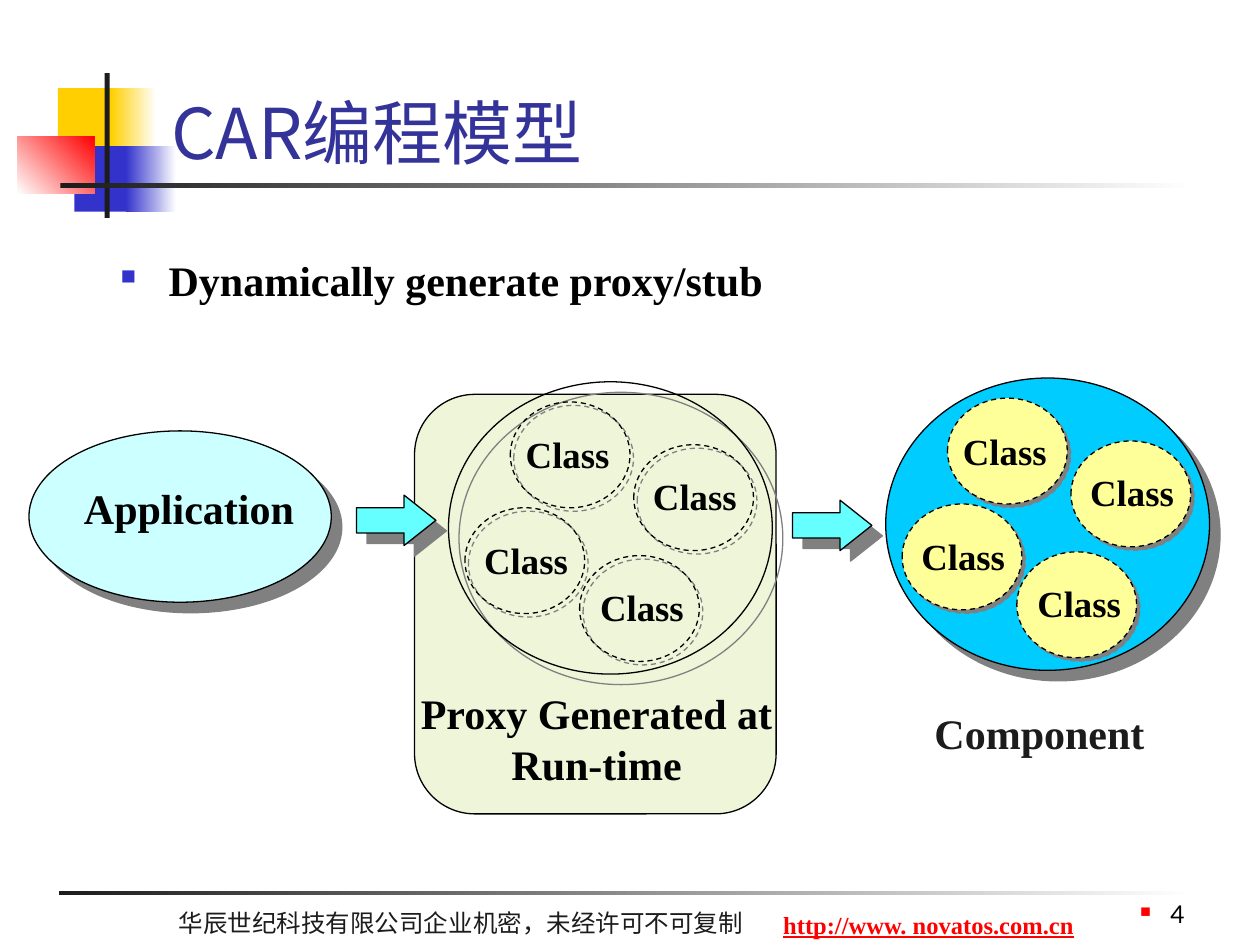
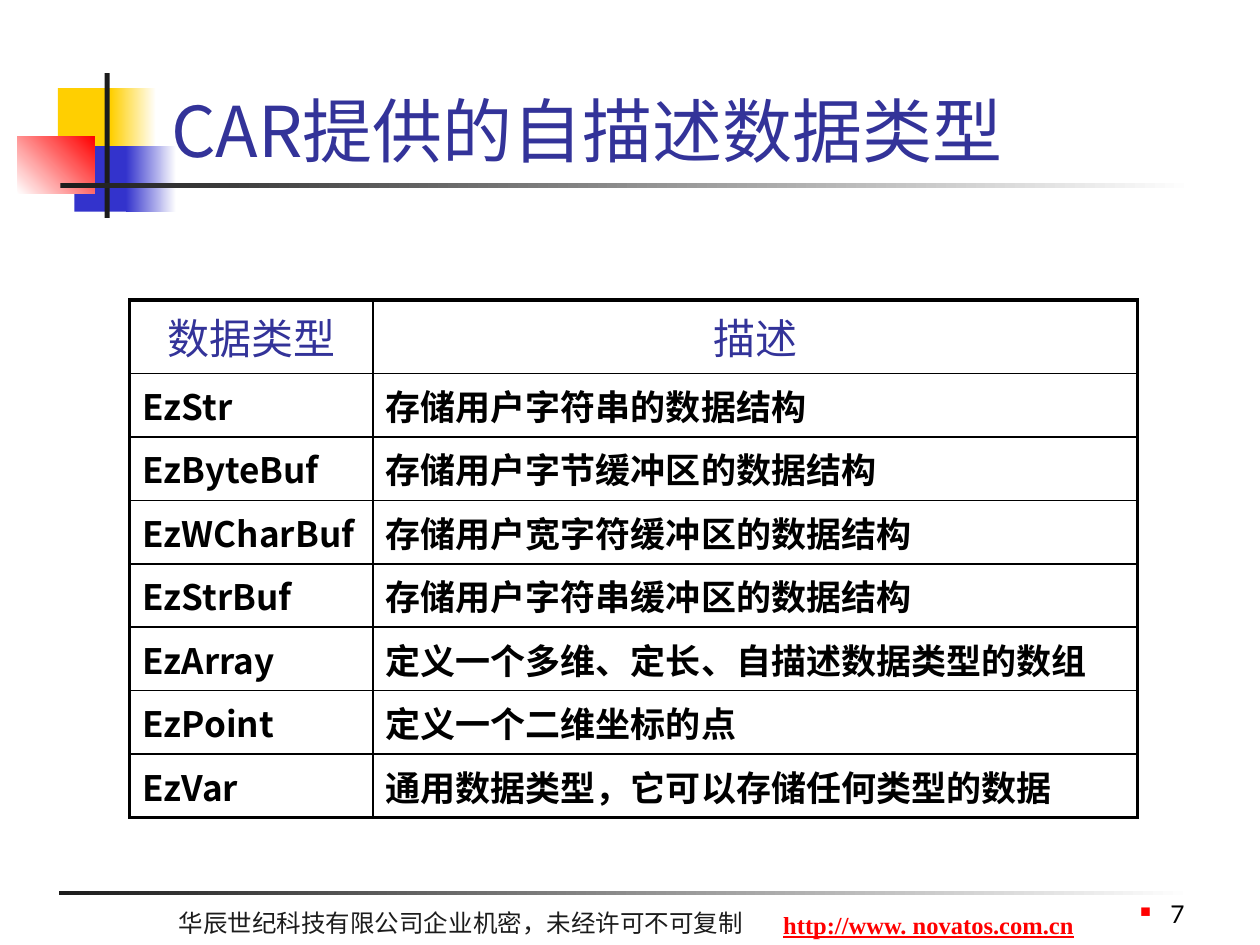
from pptx import Presentation
from pptx.dml.color import RGBColor
from pptx.enum.dml import MSO_LINE_DASH_STYLE as Dash
from pptx.enum.shapes import MSO_SHAPE as Shape
from pptx.enum.text import MSO_ANCHOR as Anchor, PP_ALIGN as Align
from pptx.oxml import parse_xml
from pptx.oxml.ns import nsdecls, qn
from pptx.util import Inches, Pt

SERIF = "Times New Roman"
CJK = "Noto Sans CJK SC"
LATO = "Lato"

BLACK = RGBColor(0x00, 0x00, 0x00)
WHITE = RGBColor(0xFF, 0xFF, 0xFF)
CHARCOAL = RGBColor(0x1C, 0x1C, 0x1C)
GRAY = RGBColor(0x80, 0x80, 0x80)
RED = RGBColor(0xFF, 0x00, 0x00)
GOLD = RGBColor(0xFF, 0xCF, 0x01)
BLUE = RGBColor(0x33, 0x33, 0xCC)
NAVY = RGBColor(0x33, 0x33, 0x99)
SAGE = RGBColor(0xDE, 0xED, 0xB5)
AQUA = RGBColor(0x66, 0xFF, 0xFF)
PALE_CYAN = RGBColor(0xCC, 0xFF, 0xFF)
SKY = RGBColor(0x00, 0xCC, 0xFF)
YELLOW = RGBColor(0xFF, 0xFF, 0x99)

THICK, THIN = 2.25, 1
DEEP_SHADOW, SMALL_SHADOW = 8.5, 2.8
CLASS_OFFSETS = [(1.04, 1.38), (1.47, 0.5), (0.49, 0.16), (0.13, 1.0)]
CLASS_LABEL_OFFSETS = [(1.0, 1.56), (1.42, 0.68), (0.41, 0.35), (0.08, 1.19)]

DATA_TYPES = [
    ("数据类型", "描述"),
    ("EzStr", "存储用户字符串的数据结构"),
    ("EzByteBuf", "存储用户字节缓冲区的数据结构"),
    ("EzWCharBuf", "存储用户宽字符缓冲区的数据结构"),
    ("EzStrBuf", "存储用户字符串缓冲区的数据结构"),
    ("EzArray", "定义一个多维、定长、自描述数据类型的数组"),
    ("EzPoint", "定义一个二维坐标的点"),
    ("EzVar", "通用数据类型，它可以存储任何类型的数据"),
]


def write_text(frame, text, size=24, font=SERIF, color=BLACK, bold=False,
               underline=False, align=Align.LEFT):
    paragraph = frame.paragraphs[0]
    paragraph.alignment = align
    run = paragraph.add_run()
    run.text = text
    run.font.size = Pt(size)
    run.font.name = font
    run.font.bold = bold
    run.font.underline = underline
    run.font.color.rgb = color
    run._r.get_or_add_rPr().append(
        parse_xml(f'<a:ea {nsdecls("a")} typeface="{CJK}"/>'))
    return paragraph


def add_bullet(paragraph, color, indent, percent):
    properties = paragraph._p.get_or_add_pPr()
    properties.set("marL", str(Inches(indent)))
    properties.set("indent", str(-Inches(indent)))
    for xml in (f'<a:buClr {nsdecls("a")}><a:srgbClr val="{color}"/></a:buClr>',
                f'<a:buSzPct {nsdecls("a")} val="{percent * 1000}"/>',
                f'<a:buChar {nsdecls("a")} char="■"/>'):
        properties.append(parse_xml(xml))


def add_shadow(shape, distance):
    """Cast a hard gray shadow down and to the right."""
    shape._element.spPr.append(parse_xml(
        f'<a:effectLst {nsdecls("a")}><a:outerShdw blurRad="0" dist="{Pt(distance)}" '
        f'dir="2700000" algn="ctr" rotWithShape="0"><a:srgbClr val="{GRAY}"/>'
        '</a:outerShdw></a:effectLst>'))


def set_borders(cell, **widths):
    """Draw black borders; the sides L, R, T, B take widths in points."""
    properties = cell._tc.get_or_add_tcPr()
    for index, side in enumerate("LRTB"):
        properties.insert(index, parse_xml(
            f'<a:ln{side} {nsdecls("a")} w="{Pt(widths[side])}"><a:solidFill>'
            f'<a:srgbClr val="{BLACK}"/></a:solidFill></a:ln{side}>'))


class Deck:
    def __init__(self):
        self.presentation = Presentation()
        self.presentation.slide_width = Inches(10)
        self.presentation.slide_height = Inches(7.5)
        self.slide = None

    def start_slide(self, title, title_top, title_height, number):
        self.slide = self.presentation.slides.add_slide(
            self.presentation.slide_layouts[5])
        self.draw_ornament()
        self.draw_footer(number)
        placeholder = self.slide.shapes.title
        placeholder.left, placeholder.top = Inches(1.26), Inches(title_top)
        placeholder.width, placeholder.height = Inches(8.52), Inches(title_height)
        placeholder.text_frame.vertical_anchor = Anchor.BOTTOM
        write_text(placeholder.text_frame, title, size=40, font=CJK, color=NAVY)
        tree = self.slide.shapes._spTree
        tree.remove(placeholder._element)
        tree.append(placeholder._element)

    def draw_ornament(self):
        self.add_shape(Shape.RECTANGLE, 0.46, 0.7, 0.48, 0.52, GOLD)
        self.add_fade(0.88, 0.7, 0.36, 0.52, GOLD, WHITE)
        self.add_shape(Shape.RECTANGLE, 0.59, 1.16, 0.46, 0.52, BLUE)
        self.add_fade(1, 1.16, 0.4, 0.52, BLUE, WHITE)
        self.add_fade(0.14, 1.08, 0.61, 0.46, WHITE, RED, angle=45)
        self.add_shape(Shape.RECTANGLE, 0.83, 0.58, 0.04, 1.15, CHARCOAL)
        self.add_fade(0.48, 1.45, 9, 0.04, CHARCOAL, WHITE)

    def draw_footer(self, number):
        self.add_text("华辰世纪科技有限公司企业机密，未经许可不可复制", 1.16, 7.16, 5, 0.33,
                      size=14, color=CHARCOAL, align=Align.CENTER)
        self.add_text("http://www. novatos.com.cn", 5.97, 7.17, 2.8, 0.3,
                      size=14, color=RED, bold=True, underline=True,
                      align=Align.CENTER)
        self.add_fade(0.47, 7.07, 9, 0.03, CHARCOAL, WHITE)
        page = self.add_text(str(number), 7.42, 6.92, 2.08, 0.5, Anchor.BOTTOM,
                             size=14, font=LATO, align=Align.RIGHT)
        add_bullet(page, RED, 0.24, percent=60)

    def add_shape(self, kind, left, top, width, height, fill=None, outlined=False,
                  dashed=False, shadow=None):
        shape = self.slide.shapes.add_shape(
            kind, Inches(left), Inches(top), Inches(width), Inches(height))
        if fill is None:
            shape.fill.background()
        else:
            shape.fill.solid()
            shape.fill.fore_color.rgb = fill
        if outlined:
            shape.line.color.rgb = BLACK
            shape.line.width = Pt(0.75)
            if dashed:
                shape.line.dash_style = Dash.DASH
        else:
            shape.line.fill.background()
        if shadow:
            add_shadow(shape, shadow)
        else:
            shape.shadow.inherit = False
        return shape

    def add_fade(self, left, top, width, height, start, end, angle=0):
        """Add a borderless rectangle with a two-colour gradient."""
        shape = self.add_shape(Shape.RECTANGLE, left, top, width, height)
        shape.fill.gradient()
        shape.fill.gradient_angle = angle
        for stop, color in zip(shape.fill.gradient_stops, (start, end)):
            stop.color.rgb = color

    def add_text(self, text, left, top, width, height, anchor=Anchor.TOP, **style):
        box = self.slide.shapes.add_textbox(
            Inches(left), Inches(top), Inches(width), Inches(height))
        box.text_frame.word_wrap = True
        box.text_frame.vertical_anchor = anchor
        return write_text(box.text_frame, text, **style)

    def add_label(self, text, left, top, width, height, **style):
        style = {"bold": True, "align": Align.CENTER, **style}
        return self.add_text(text, left, top, width, height, **style)

    def add_arrow(self, left, top):
        arrow = self.add_shape(Shape.RIGHT_ARROW, left, top, 0.63, 0.4, AQUA,
                               outlined=True, shadow=DEEP_SHADOW)
        arrow.adjustments[1] = 0.631

    def add_class_cluster(self, left, top, fill=None, class_fill=None):
        """Add a large ellipse that holds four dashed class ellipses."""
        self.add_shape(Shape.OVAL, left, top, 2.57, 2.32, fill,
                       outlined=True, shadow=DEEP_SHADOW)
        for dx, dy in CLASS_OFFSETS:
            self.add_shape(Shape.OVAL, left + dx, top + dy, 0.95, 0.84, class_fill,
                           outlined=True, dashed=True, shadow=SMALL_SHADOW)
        for dx, dy in CLASS_LABEL_OFFSETS:
            self.add_label("Class", left + dx, top + dy, 1.07, 0.48, size=21)

    def add_table(self, rows, left, top, column_widths, header_height, row_height):
        heights = [header_height] + [row_height] * (len(rows) - 1)
        table = self.slide.shapes.add_table(
            len(rows), len(column_widths), Inches(left), Inches(top),
            Inches(sum(column_widths)), Inches(sum(heights))).table
        table.first_row = table.horz_banding = False
        for column, width in zip(table.columns, column_widths):
            column.width = Inches(width)
        last_row, last_column = len(rows) - 1, len(column_widths) - 1
        for i, (values, height) in enumerate(zip(rows, heights)):
            table.rows[i].height = Inches(height)
            for j, value in enumerate(values):
                cell = table.cell(i, j)
                cell.fill.background()
                set_borders(cell,
                            L=THICK if j == 0 else THIN,
                            R=THICK if j == last_column else THIN,
                            T=THICK if i == 0 else THIN,
                            B=THICK if i == last_row else THIN)
                if i == 0:
                    write_text(cell.text_frame, value, font=CJK, color=NAVY,
                               align=Align.CENTER)
                else:
                    write_text(cell.text_frame, value, size=20, font=CJK, bold=True)


def build_model_slide(deck):
    deck.start_slide("CAR编程模型", 0.26, 1.17, number=4)
    point = deck.add_label("Dynamically generate proxy/stub", 0.86, 1.97, 8.5, 0.96,
                           align=Align.LEFT)
    add_bullet(point, BLUE, 0.38, percent=50)

    proxy = deck.add_shape(Shape.ROUNDED_RECTANGLE, 3.29, 3.13, 2.87, 3.33, SAGE,
                           outlined=True)
    proxy.adjustments[0] = 0.167
    proxy_color = proxy._element.spPr.find(qn("a:solidFill"))[0]
    proxy_color.append(parse_xml(f'<a:alpha {nsdecls("a")} val="50000"/>'))
    deck.add_label("Proxy Generated at Run-time", 3.17, 5.41, 3.13, 0.9)
    deck.add_class_cluster(3.56, 3.03)

    deck.add_class_cluster(7.03, 3, SKY, YELLOW)
    deck.add_label("Component", 7.13, 5.57, 2.24, 0.54, color=CHARCOAL)

    deck.add_shape(Shape.OVAL, 0.23, 3.42, 2.4, 1.36, PALE_CYAN,
                   outlined=True, shadow=DEEP_SHADOW)
    deck.add_label("Application", 0.5, 3.78, 2, 0.54)
    deck.add_arrow(2.83, 3.93)
    deck.add_arrow(6.29, 3.97)


def build_types_slide(deck):
    deck.start_slide("CAR提供的自描述数据类型", 0.41, 1, number=7)
    deck.add_table(DATA_TYPES, 1.03, 2.38, (1.93, 6.07), 0.58, 0.5)


def main():
    deck = Deck()
    build_model_slide(deck)
    build_types_slide(deck)
    deck.presentation.save("out.pptx")


if __name__ == "__main__":
    main()
